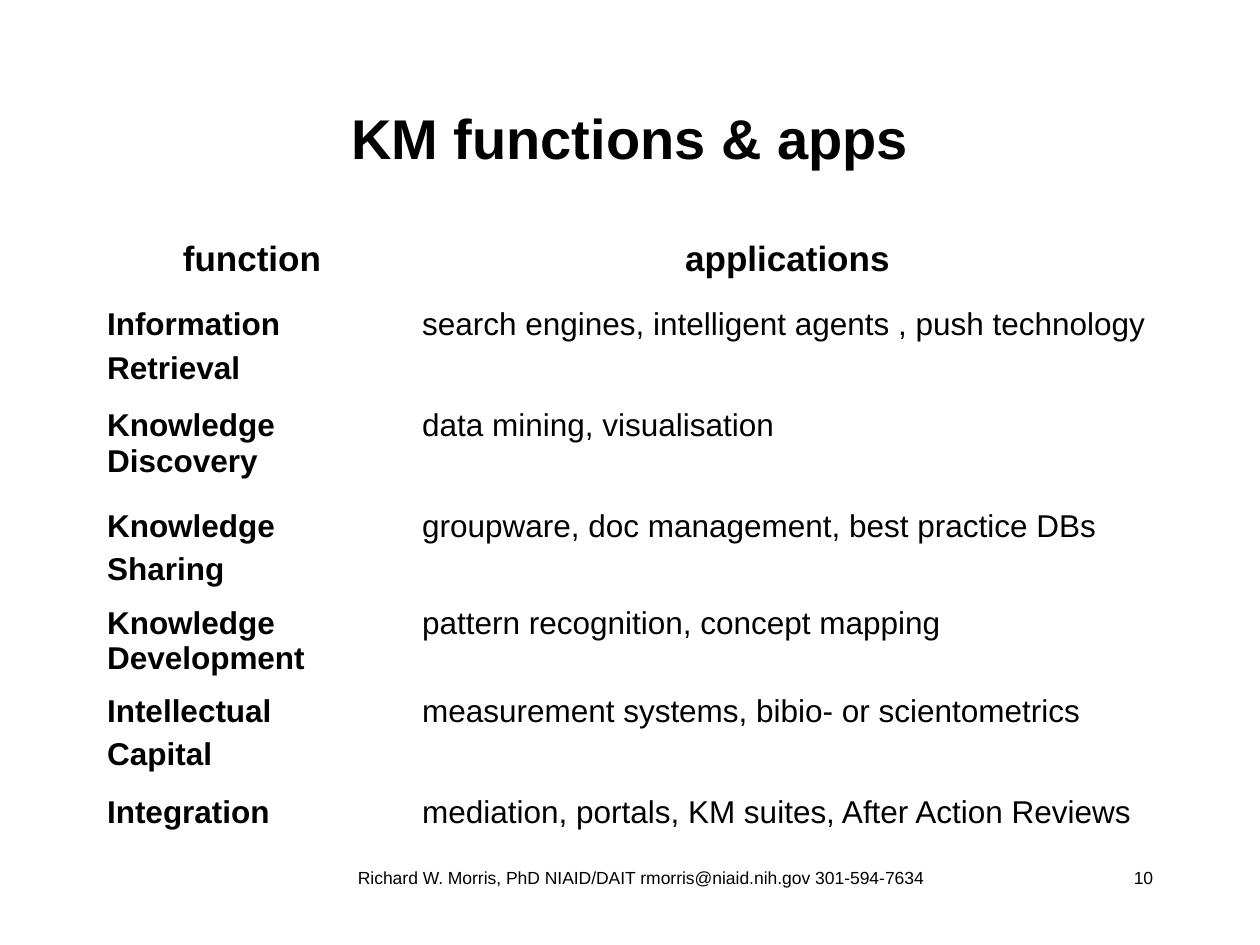
"""Build the slide on KM functions and their applications."""
from pptx import Presentation
from pptx.dml.color import RGBColor
from pptx.enum.text import MSO_ANCHOR as Anchor, PP_ALIGN as Align
from pptx.util import Inches, Pt


def style(frame, size, align=Align.LEFT, bold=False, color="000000"):
    for i, para in enumerate(frame.paragraphs):
        para.alignment = align
        para.space_before = Pt(size / 4 if i else 0)
        for run in para.runs:
            font = run.font
            font.name, font.size, font.bold = "Arial", Pt(size), bold
            font.color.rgb = RGBColor.from_string(color)


deck = Presentation()
deck.slide_width, deck.slide_height = Inches(10), Inches(7.5)
slide = deck.slides.add_slide(deck.slide_layouts[5])
left, wide = Inches(0.75), Inches(8.5)

title = slide.shapes.title
title.left, title.top, title.width, title.height = left, Inches(0.67), wide, Inches(0.83)
title.text_frame.text = "KM functions & apps"
title.text_frame.vertical_anchor = Anchor.MIDDLE
style(title.text_frame, 32, Align.CENTER, True)

rows = [
    ("function", "applications"),
    ("Information\nRetrieval", "search engines, intelligent agents , push technology"),
    ("Knowledge Discovery", "data mining, visualisation"),
    ("Knowledge\nSharing", "groupware, doc management, best practice DBs"),
    ("Knowledge Development", "pattern recognition, concept mapping"),
    ("Intellectual\nCapital", "measurement systems, bibio- or scientometrics"),
    ("Integration", "mediation, portals, KM suites, After Action Reviews"),
]
tall = [0.54, 0.8, 0.8, 0.77, 0.7, 0.8, 0.8]
grid = slide.shapes.add_table(len(rows), 2, left, Inches(1.85), wide, Inches(sum(tall))).table
grid.first_row = grid.horz_banding = False
for col, span in zip(grid.columns, (2.5, 6)):
    col.width = Inches(span)
for r, (row, high) in enumerate(zip(rows, tall)):
    grid.rows[r].height = Inches(high)
    for c, text in enumerate(row):
        cell = grid.cell(r, c)
        cell.fill.background()
        cell.text_frame.text = text
        if r == 0:
            style(cell.text_frame, 20, Align.CENTER, True)
        else:
            style(cell.text_frame, 18, bold=c == 0)

foot = "Richard W. Morris, PhD NIAID/DAIT rmorris@niaid.nih.gov 301-594-7634"
for x, span, text, align in [
    (2.5, 5.17, foot, Align.CENTER),
    (7.67, 1.58, "10", Align.RIGHT),
]:
    box = slide.shapes.add_textbox(Inches(x), Inches(6.83), Inches(span), Inches(0.5))
    box.text_frame.word_wrap = True
    box.text_frame.text = text
    style(box.text_frame, 10, align)

deck.save("out.pptx")
